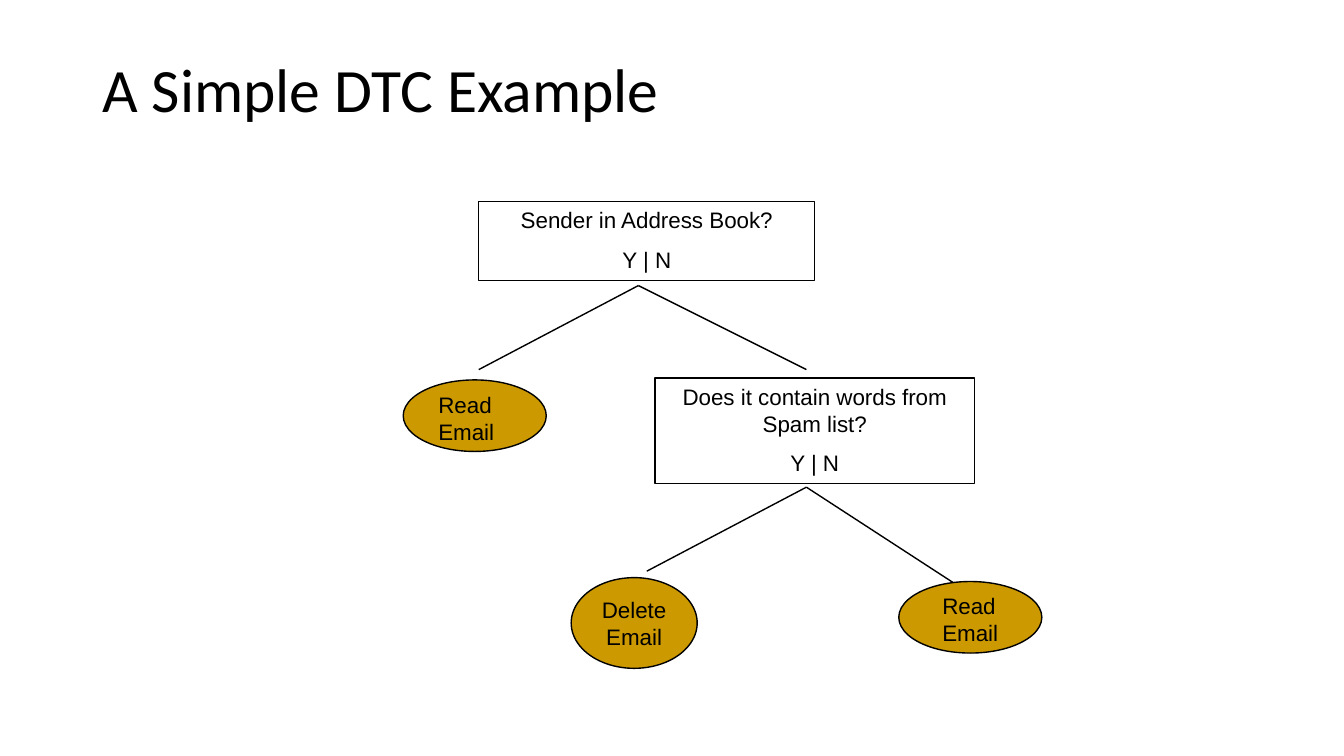
from lxml.etree import SubElement
from pptx import Presentation
from pptx.dml.color import RGBColor
from pptx.enum.shapes import MSO_CONNECTOR, MSO_SHAPE
from pptx.enum.text import MSO_ANCHOR, PP_ALIGN
from pptx.oxml.ns import qn
from pptx.util import Pt

COLORS = {"ink": "000000", "leaf": "CC9900"}


def color(name):
    return RGBColor.from_string(COLORS[name])


def write(sp, lines, size=16, font="Arial", align=PP_ALIGN.CENTER,
          anchor=MSO_ANCHOR.TOP, before=0, spacing=None):
    tf = sp.text_frame
    tf.word_wrap = True
    tf.vertical_anchor = anchor
    tf.text = "\n".join(lines)
    for i, p in enumerate(tf.paragraphs):
        p.alignment = align
        p.line_spacing = spacing
        p.space_before = Pt(before if i else 0)
        for r in p.runs:
            r.font.size = Pt(size)
            r.font.name = font
            r.font.color.rgb = color("ink")


def add_text(s, box, lines, **style):
    sp = s.shapes.add_textbox(*map(Pt, box))
    write(sp, lines, **style)


def add_node(s, kind, box, fill=None):
    sp = s.shapes.add_shape(kind, *map(Pt, box))
    sp.shadow.inherit = False
    if fill:
        sp.fill.solid()
        sp.fill.fore_color.rgb = color(fill)
    else:
        sp.fill.background()
    sp.line.color.rgb = color("ink")
    sp.line.width = Pt(1)
    return sp


def add_question(s, box, question):
    sp = add_node(s, MSO_SHAPE.RECTANGLE, box)
    write(sp, [question, "Y | N"], before=9)


def add_branches(s, apex, ends):
    for end in ends:
        c = s.shapes.add_connector(MSO_CONNECTOR.STRAIGHT, *map(Pt, apex + end))
        c.line.color.rgb = color("ink")
        c.line.width = Pt(1)
        SubElement(c._element.spPr, qn("a:effectLst"))


def add_read_leaf(s, x, y, indent):
    add_node(s, MSO_SHAPE.OVAL, (x, y, 102.2, 51.1), "leaf")
    add_text(s, (x + indent, y + 4.3, 60, 46), ["Read Email"],
             align=PP_ALIGN.LEFT)


def add_title(s, box):
    add_text(s, box, ["A Simple DTC Example"], size=44, font="Calibri",
             align=PP_ALIGN.LEFT, anchor=MSO_ANCHOR.MIDDLE, spacing=0.9)


def add_tree(s, x, y):
    # First question
    add_question(s, (x + 54, y, 240, 56.2), "Sender in Address Book?")
    add_branches(s, (x + 168, y + 60),
                 [(x + 54, y + 120), (x + 288, y + 120)])
    add_read_leaf(s, x, y + 127.4, 18)

    # Second question
    add_question(s, (x + 180, y + 126, 228, 75.6),
                 "Does it contain words from Spam list?")
    add_branches(s, (x + 288, y + 204),
                 [(x + 174, y + 264), (x + 408, y + 282)])
    sp = add_node(s, MSO_SHAPE.OVAL, (x + 120, y + 268.6, 90, 64.8), "leaf")
    write(sp, ["Delete", "Email"], anchor=MSO_ANCHOR.MIDDLE)
    add_read_leaf(s, x + 354, y + 271.4, 24)


def main():
    prs = Presentation()
    prs.slide_width, prs.slide_height = Pt(960), Pt(540)
    s = prs.slides.add_slide(prs.slide_layouts[6])
    add_title(s, (66, 13.5, 592, 104.5))
    add_tree(s, 288, 144)
    prs.save("out.pptx")


if __name__ == "__main__":
    main()
